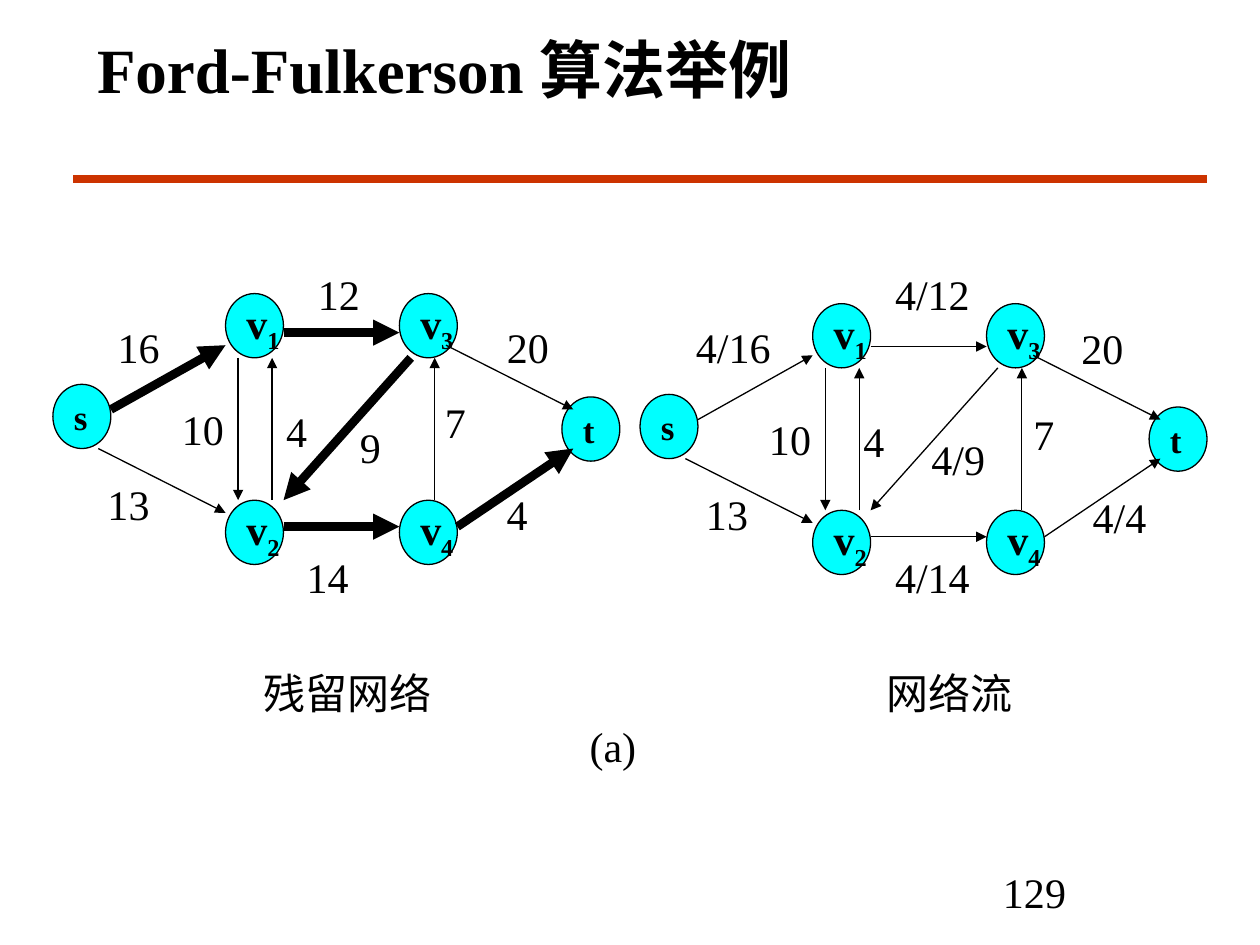
import pptx
import pptx.util
import pptx.dml.color
import pptx.enum.shapes
import pptx.enum.text
import pptx.oxml
import pptx.oxml.ns

Inches, Pt = pptx.util.Inches, pptx.util.Pt
ALIGN = pptx.enum.text.PP_ALIGN
FIT = pptx.enum.text.MSO_AUTO_SIZE
MIDDLE = pptx.enum.text.MSO_ANCHOR.MIDDLE
COLORS = {"ink": "000000", "node": "00FFFF", "rule": "CC3300"}
THIN, BOLD = 0.75, 5
NODE_W, NODE_H = 0.46, 0.51

# name, subscript, left, top
NODES = [
    ("s", "", 0.42, 3.05), ("v", "1", 1.79, 2.33), ("v", "2", 1.79, 3.97),
    ("v", "3", 3.17, 2.33), ("v", "4", 3.17, 3.97), ("t", "", 4.46, 3.15),
]
EDGES = {
    "s-v1": (0.88, 3.25, 1.79, 2.74), "s-v2": (0.78, 3.56, 1.79, 4.07),
    "v1-v3": (2.25, 2.64, 3.17, 2.64), "v3-t": (3.54, 2.74, 4.55, 3.25),
    "v2-v4": (2.25, 4.18, 3.17, 4.18), "v4-t": (3.63, 4.18, 4.55, 3.56),
    "v1-v2": (1.89, 2.84, 1.89, 3.97), "v2-v1": (2.16, 3.97, 2.16, 2.84),
    "v4-v3": (3.45, 3.97, 3.45, 2.84), "v3-v2": (3.26, 2.84, 2.25, 3.97),
}
PATH = {"s-v1", "v1-v3", "v3-v2", "v2-v4", "v4-t"}
# text, left, top and, where it is not the natural one, width
RESIDUAL = [
    ("16", 0.83, 2.5), ("13", 0.75, 3.75), ("12", 2.42, 2.08),
    ("10", 1.34, 3.15), ("4", 2.17, 3.17), ("9", 2.62, 3.3, 0.64),
    ("7", 3.43, 3.1), ("20", 3.92, 2.5), ("4", 3.92, 3.83),
    ("14", 2.33, 4.33),
]
FLOW = [
    ("4/16", 5.42, 2.5), ("13", 5.5, 3.83), ("4/12", 7, 2.08),
    ("10", 6, 3.23), ("4", 6.75, 3.25), ("4/9", 7.29, 3.39),
    ("7", 8.1, 3.19), ("20", 8.48, 2.51), ("4/4", 8.57, 3.85),
    ("4/14", 7, 4.33),
]


def color(name):
    return pptx.dml.color.RGBColor.from_string(COLORS[name])


class Deck:
    font = "Times New Roman"
    size = 24

    def __init__(self):
        self.file = pptx.Presentation()
        self.file.slide_width = Inches(10)
        self.file.slide_height = Inches(7.5)
        self.slide = self.file.slides.add_slide(self.file.slide_layouts[5])
        self.shapes = self.slide.shapes

    def run(self, para, text, size=None, bold=False):
        run = para.add_run()
        run.text = text
        run.font.name = self.font
        run.font.size = Pt(size or self.size)
        run.font.bold = bold
        run.font.color.rgb = color("ink")
        return run

    def title(self, text, x, y, w, h):
        box = self.shapes.title
        box.left, box.top = Inches(x), Inches(y)
        box.width, box.height = Inches(w), Inches(h)
        frame = box.text_frame
        frame.auto_size = FIT.NONE
        frame.vertical_anchor = MIDDLE
        para = frame.paragraphs[0]
        para.alignment = ALIGN.LEFT
        self.run(para, text, 36, True)

    def text(self, text, x, y, w, h=0.5, wrap=True):
        box = self.shapes.add_textbox(Inches(x), Inches(y), Inches(w), Inches(h))
        frame = box.text_frame
        frame.word_wrap = wrap
        frame.auto_size = FIT.SHAPE_TO_FIT_TEXT
        para = frame.paragraphs[0]
        para.alignment = ALIGN.CENTER
        self.run(para, text)

    def label(self, text, x, y, w=None):
        """Weight of an edge; its box is as wide as its digits and slash."""
        bars = text.count("/")
        digits = len(text) - bars
        self.text(text, x, y, w or 0.2 + 0.17 * digits + 0.09 * bars, wrap=False)

    def node(self, name, sub, x, y):
        oval = self.shapes.add_shape(
            pptx.enum.shapes.MSO_SHAPE.OVAL,
            Inches(x), Inches(y), Inches(NODE_W), Inches(NODE_H))
        oval.shadow.inherit = False
        oval.fill.solid()
        oval.fill.fore_color.rgb = color("node")
        oval.line.color.rgb = color("ink")
        oval.line.width = Pt(THIN)
        frame = oval.text_frame
        frame.word_wrap = False
        frame.vertical_anchor = MIDDLE
        para = frame.paragraphs[0]
        para.alignment = ALIGN.LEFT
        self.run(para, name, 24 if sub else 20, True)
        if sub:
            low = self.run(para, sub, 24, True)
            low.font._element.set("baseline", "-25000")

    def line(self, ends, width, ink="ink", arrow=True):
        line = self.shapes.add_connector(
            pptx.enum.shapes.MSO_CONNECTOR.STRAIGHT, *map(Inches, ends))
        line.line.color.rgb = color(ink)
        line.line.width = Pt(width)
        props = line._element.spPr
        if arrow:
            tip = pptx.oxml.parse_xml(
                f'<a:tailEnd {pptx.oxml.ns.nsdecls("a")} type="triangle"/>')
            line.line._get_or_add_ln().append(tip)
        props.append(pptx.oxml.parse_xml(
            f'<a:effectLst {pptx.oxml.ns.nsdecls("a")}/>'))

    def graph(self, labels, dx=0, dy=0, path=(), shift=None):
        """Network moved by dx, dy; shift lowers single edges further."""
        for name, sub, x, y in NODES:
            self.node(name, sub, x + dx, y + dy)
        for key, (x1, y1, x2, y2) in EDGES.items():
            drop = dy + (shift or {}).get(key, 0)
            ends = (x1 + dx, y1 + drop, x2 + dx, y2 + drop)
            self.line(ends, BOLD if key in path else THIN)
        for item in labels:
            self.label(*item)


def main():
    deck = Deck()
    deck.title("Ford-Fulkerson 算法举例", 0.67, 0.17, 8.3, 0.75)
    deck.line((0.58, 1.42, 9.58, 1.42), 4.5, "rule", arrow=False)
    deck.graph(RESIDUAL, path=PATH)
    deck.graph(FLOW, 4.66, 0.08, shift={"v1-v3": 0.03})
    deck.text("残留网络", 1.46, 5.25, 2.59)
    deck.text("网络流", 6.24, 5.25, 2.59)
    deck.text("(a)", 4.58, 5.67, 0.57, wrap=False)
    deck.text("129", 7.17, 6.83, 2.08)
    deck.file.save("out.pptx")


if __name__ == "__main__":
    main()
